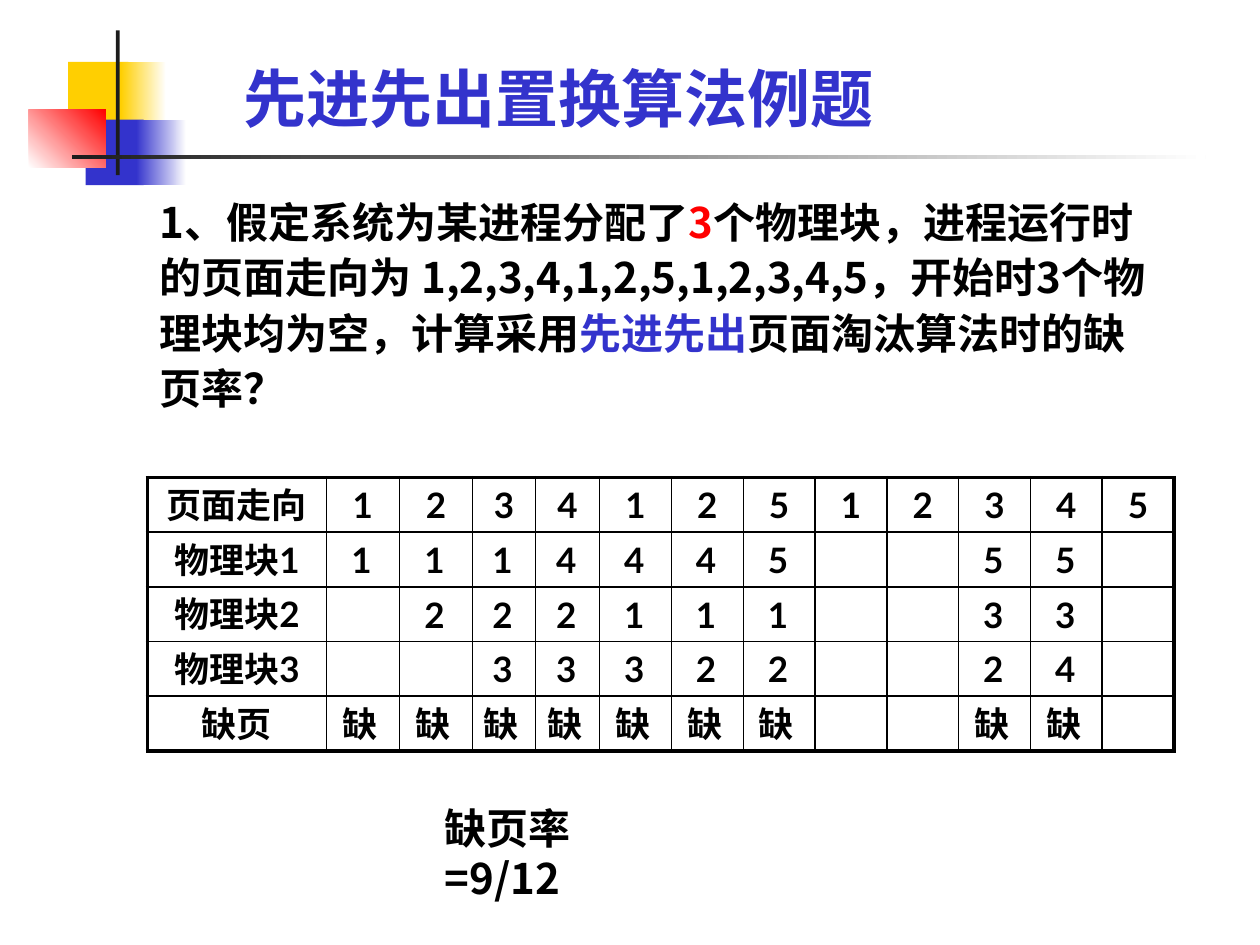
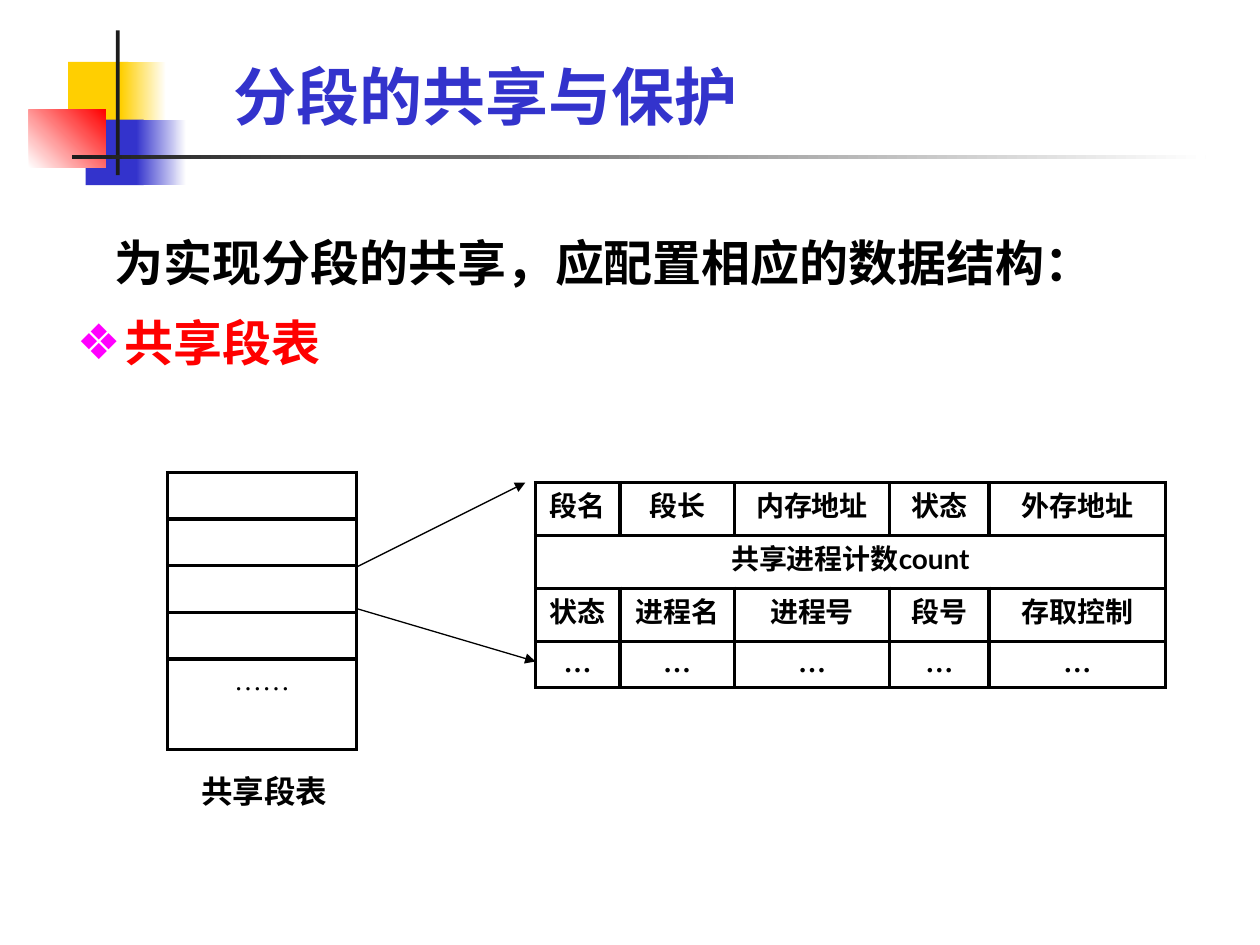
from lxml import etree
from pptx import Presentation
from pptx.dml.color import RGBColor
from pptx.enum.shapes import MSO_CONNECTOR, MSO_SHAPE
from pptx.enum.text import MSO_ANCHOR, MSO_AUTO_SIZE, PP_ALIGN
from pptx.oxml.ns import qn
from pptx.util import Inches, Pt

RECTANGLE = MSO_SHAPE.RECTANGLE
STRAIGHT = MSO_CONNECTOR.STRAIGHT
CENTER, LEFT = PP_ALIGN.CENTER, PP_ALIGN.LEFT
TOP, BOTTOM = MSO_ANCHOR.TOP, MSO_ANCHOR.BOTTOM
NO_AUTOFIT = MSO_AUTO_SIZE.NONE

BLACK = RGBColor(0x00, 0x00, 0x00)
WHITE = RGBColor(0xFF, 0xFF, 0xFF)
CHARCOAL = RGBColor(0x1C, 0x1C, 0x1C)
BLUE = RGBColor(0x33, 0x33, 0xCC)
YELLOW = RGBColor(0xFF, 0xCF, 0x01)
RED = RGBColor(0xFF, 0x00, 0x00)
MAGENTA = RGBColor(0xFF, 0x00, 0xFF)

LATO = "Lato"
NOTO = "Noto Sans CJK SC"
TIMES = "Times New Roman"

MOTIF = [
    ((0.54, 0.49, 0.48, 0.52), YELLOW, None, 0),
    ((0.96, 0.49, 0.36, 0.52), YELLOW, WHITE, 0),
    ((0.68, 0.95, 0.46, 0.52), BLUE, None, 0),
    ((1.08, 0.95, 0.40, 0.52), BLUE, WHITE, 0),
    ((0.23, 0.87, 0.61, 0.46), WHITE, RED, 45),
    ((0.92, 0.24, 0.03, 1.15), CHARCOAL, None, 0),
    ((0.57, 1.23, 9.00, 0.03), CHARCOAL, WHITE, 0),
]

PAGE_ORDER = "123412512345"
FAULT = "缺"
FRAME_STATES = ["1", "12", "123", "423", "413", "412", "512", "", "", "532", "534", ""]
BLOCK_LEFT, BLOCK_TOP, BLOCK_HEIGHT = 1.17, 3.79, 2.17
BLOCK_COLUMNS = [1.42, 0.58, 0.58, 0.5, 0.51] + [0.57] * 8
BLOCK_LABELS = ["页面走向", "物理块1", "物理块2", "物理块3", "缺页"]

SEGMENT_COLUMNS = [0.67, 0.91, 1.23, 0.79, 1.4]
SEGMENT_ROWS = [
    ["段名", "段长", "内存地址", "状态", "外存地址"],
    ["共享进程计数count"] + [""] * 4,
    ["状态", "进程名", "进程号", "段号", "存取控制"],
    ["…"] * 5,
]


def inches(values):
    return [Inches(value) for value in values]


def add_span(para, text, size, font=LATO, color=BLACK, bold=True):
    span = para.add_run()
    span.text = text
    span.font.size = Pt(size)
    span.font.name = font
    span.font.bold = bold
    span.font.color.rgb = color
    east_asian = etree.SubElement(span.font._element, qn("a:ea"))
    east_asian.set("typeface", font)


def add_text(page, area, spans, size, font=LATO, line_spacing=None):
    box = page.shapes.add_textbox(*inches(area))
    box.text_frame.word_wrap = True
    para = box.text_frame.paragraphs[0]
    if line_spacing:
        para.line_spacing = line_spacing
    for text, color in spans:
        add_span(para, text, size, font, color)


def add_motif(deck, page):
    master_tree = deck.slide_master.shapes.element
    for number, (area, color, end_color, angle) in enumerate(MOTIF, 20):
        block = page.shapes.add_shape(RECTANGLE, *inches(area))
        block.shadow.inherit = False
        block.line.fill.background()
        if end_color is None:
            block.fill.solid()
            block.fill.fore_color.rgb = color
        else:
            block.fill.gradient()
            block.fill.gradient_angle = angle
            for stop, stop_color in zip(block.fill.gradient_stops, (color, end_color)):
                stop.color.rgb = stop_color
        block.element.nvSpPr.cNvPr.set("id", str(number))
        master_tree.append(block.element)


def place(holder, area, anchor):
    holder.left, holder.top, holder.width, holder.height = inches(area)
    frame = holder.text_frame
    frame.auto_size = NO_AUTOFIT
    frame.vertical_anchor = anchor
    return frame


def set_title(page, text, area, font):
    para = place(page.shapes.title, area, BOTTOM).paragraphs[0]
    para.alignment = LEFT
    add_span(para, text, 36, font, BLUE)


def add_point(para, text, color, margin, indent, bullet=None):
    para.alignment = LEFT
    para.line_spacing = 1.2
    para.space_before = Pt(5.6)
    add_span(para, text, 28, NOTO, color)
    properties = para._p.get_or_add_pPr()
    properties.set("marL", str(Inches(margin)))
    properties.set("indent", str(Inches(indent)))
    if bullet is None:
        etree.SubElement(properties, qn("a:buNone"))
        return
    bullet_color = etree.SubElement(properties, qn("a:buClr"))
    etree.SubElement(bullet_color, qn("a:srgbClr")).set("val", str(MAGENTA))
    etree.SubElement(properties, qn("a:buChar")).set("char", bullet)


def set_borders(cell, widths):
    properties = cell._tc.get_or_add_tcPr()
    for side, width in zip("LRTB", widths):
        line = etree.SubElement(properties, qn(f"a:ln{side}"))
        line.set("w", str(Pt(width)))
        fill = etree.SubElement(line, qn("a:solidFill"))
        etree.SubElement(fill, qn("a:srgbClr")).set("val", str(BLACK))


def add_grid(page, left, top, columns, heights, rows, size, inner=2.25, outer=2.25):
    area = inches((left, top, sum(columns), sum(heights)))
    table = page.shapes.add_table(len(heights), len(columns), *area).table
    table.first_row = table.horz_banding = False
    for column, width in zip(table.columns, columns):
        column.width = Inches(width)
    last_row, last_column = len(heights) - 1, len(columns) - 1
    for r, (height, texts) in enumerate(zip(heights, rows)):
        table.rows[r].height = Inches(height)
        for c, text in enumerate(texts):
            cell = table.cell(r, c)
            on_edge = (c == 0, c == last_column, r == 0, r == last_row)
            set_borders(cell, [outer if edge else inner for edge in on_edge])
            cell.fill.background()
            cell.margin_left = cell.margin_right = Inches(0.05)
            cell.margin_top = cell.margin_bottom = Inches(0.05 if text else 0)
            if text:
                para = cell.text_frame.paragraphs[0]
                para.alignment = CENTER
                dots = text.startswith("…")
                bold = text != "……"
                add_span(para, text, size, TIMES if dots else LATO, bold=bold)
    return table


def add_arrow(page, start, end):
    arrow = page.shapes.add_connector(STRAIGHT, *inches(start + end))
    arrow.line.color.rgb = BLACK
    arrow.line.width = Pt(0.75)
    line = arrow.line._get_or_add_ln()
    etree.SubElement(line, qn("a:tailEnd")).set("type", "triangle")
    etree.SubElement(arrow.element.spPr, qn("a:effectLst"))


def add_frame_states(page, row_height):
    for c, state in enumerate(FRAME_STATES, 1):
        column_left = BLOCK_LEFT + sum(BLOCK_COLUMNS[:c])
        middle = column_left + BLOCK_COLUMNS[c] / 2
        for r, number in enumerate(state, 1):
            area = (middle - 0.19, BLOCK_TOP + r * row_height, 0.38, 0.43)
            add_text(page, area, [(number, BLACK)], 20)
        if state:
            area = (middle - 0.26, BLOCK_TOP + 4 * row_height, 0.45, 0.43)
            add_text(page, area, [(FAULT, BLACK)], 20)


def build_replacement_page(page):
    set_title(page, "先进先出置换算法例题", (1.83, 0.44, 6.95, 0.68), LATO)
    question = [
        ("1、假定系统为某进程分配了", BLACK),
        ("3", RED),
        ("个物理块，进程运行时的页面走向为 1,2,3,4,1,2,5,1,2,3,4,5，"
         "开始时3个物理块均为空，计算采用", BLACK),
        ("先进先出", BLUE),
        ("页面淘汰算法时的缺页率？", BLACK),
    ]
    add_text(page, (1.17, 1.47, 8.08, 1.86), question, 24, NOTO, 1.1)
    row_height = BLOCK_HEIGHT / len(BLOCK_LABELS)
    rows = [[label] + [""] * len(PAGE_ORDER) for label in BLOCK_LABELS]
    rows[0][1:] = PAGE_ORDER
    add_grid(page, BLOCK_LEFT, BLOCK_TOP, BLOCK_COLUMNS, [row_height] * len(rows),
             rows, 20, inner=1)
    add_text(page, (3.43, 6.32, 2.05, 0.5), [("缺页率=9/12", BLACK)], 24, NOTO)
    add_frame_states(page, row_height)


def build_sharing_page(page):
    set_title(page, "分段的共享与保护", (1.75, 0.52, 6.24, 0.59), NOTO)
    frame = place(page.placeholders[1], (0.51, 1.7, 9.06, 1.46), TOP)
    add_point(frame.paragraphs[0], "为实现分段的共享，应配置相应的数据结构：", BLACK, 0.3, 0)
    add_point(frame.add_paragraph(), "共享段表", RED, 0.38, -0.38, "❖")
    add_grid(page, 1.33, 3.75, [1.5], [0.37] * 4 + [0.72], [[""]] * 4 + [["……"]], 16)
    table = add_grid(page, 4.25, 3.83, SEGMENT_COLUMNS, [0.42] * 3 + [0.37],
                     SEGMENT_ROWS, 16)
    table.cell(1, 0).merge(table.cell(1, 4))
    add_arrow(page, (2.83, 4.5), (4.17, 3.83))
    add_arrow(page, (2.83, 4.83), (4.25, 5.25))
    add_text(page, (1.5, 6.08, 1.42, 0.4), [("共享段表", BLACK)], 18)


def main():
    deck = Presentation()
    deck.slide_width, deck.slide_height = Inches(10), Inches(7.5)
    replacement_page = deck.slides.add_slide(deck.slide_layouts[5])
    sharing_page = deck.slides.add_slide(deck.slide_layouts[1])
    add_motif(deck, replacement_page)
    build_replacement_page(replacement_page)
    build_sharing_page(sharing_page)
    deck.save("out.pptx")


if __name__ == "__main__":
    main()
